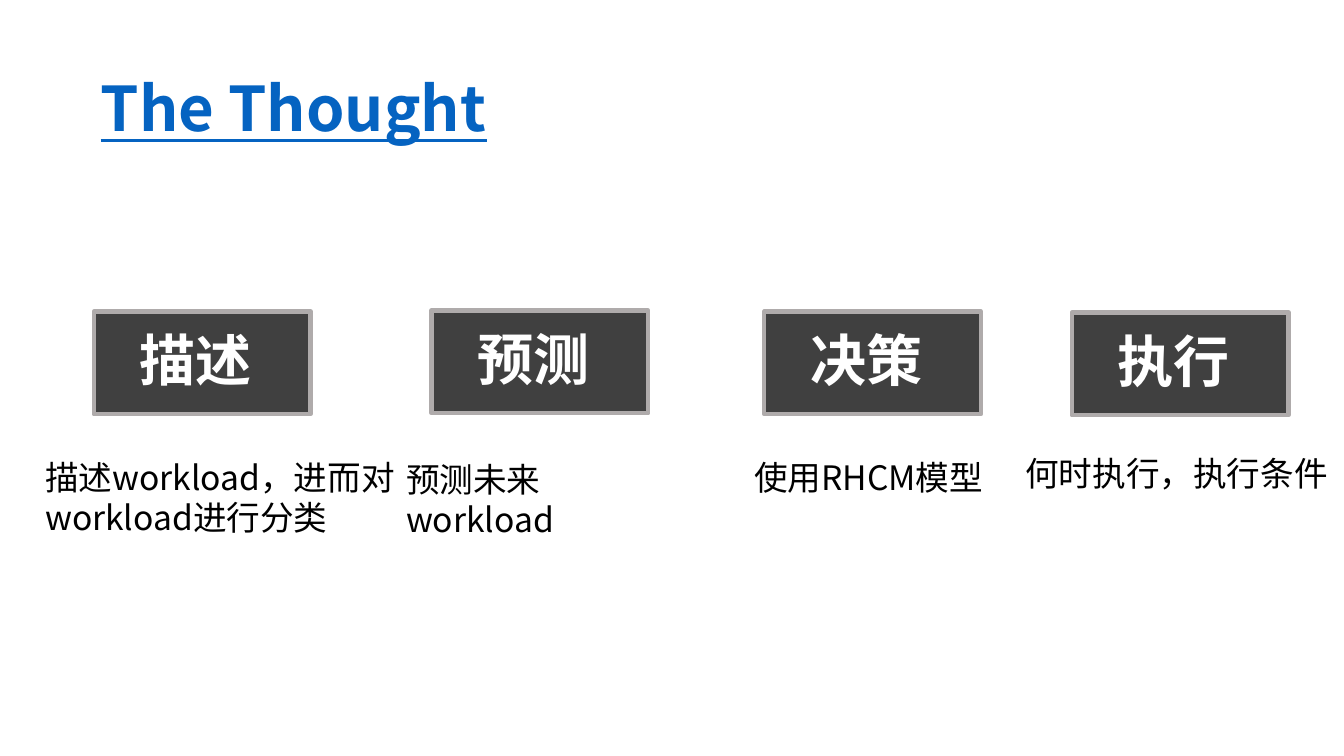
from dataclasses import dataclass

from lxml import etree
from pptx import Presentation
from pptx.dml.color import RGBColor
from pptx.enum.shapes import MSO_SHAPE
from pptx.enum.text import MSO_ANCHOR, MSO_AUTO_SIZE
from pptx.oxml.ns import qn
from pptx.util import Inches, Pt

RECT = MSO_SHAPE.RECTANGLE
TOP, MIDDLE = MSO_ANCHOR.TOP, MSO_ANCHOR.MIDDLE
FIXED, GROW = MSO_AUTO_SIZE.NONE, MSO_AUTO_SIZE.SHAPE_TO_FIT_TEXT


@dataclass(frozen=True)
class Theme:
    font: str = "Noto Sans CJK SC"
    link: str = "0563C1"
    fill: str = "404040"
    edge: str = "AFABAB"
    light: str = "FFFFFF"
    dark: str = "000000"
    title: int = 44
    label: int = 40
    body: int = 24
    border: int = 3


class Painter:
    def __init__(self, slide, theme):
        self.slide = slide
        self.theme = theme

    def box(self, left, top, width, height):
        shape = self.slide.shapes.add_shape(
            RECT, Inches(left), Inches(top), Inches(width), Inches(height))
        shape.shadow.inherit = False
        shape.fill.solid()
        shape.fill.fore_color.rgb = RGBColor.from_string(self.theme.fill)
        shape.line.color.rgb = RGBColor.from_string(self.theme.edge)
        shape.line.width = Pt(self.theme.border)

    def text(self, words, left, top, width, height, size, color,
             bold=False, under=False, anchor=TOP, fit=GROW, space=1.0):
        area = self.slide.shapes.add_textbox(
            Inches(left), Inches(top), Inches(width), Inches(height))
        frame = area.text_frame
        frame.word_wrap = True
        frame.auto_size = fit
        frame.vertical_anchor = anchor
        para = frame.paragraphs[0]
        para.line_spacing = space
        run = para.add_run()
        run.text = words
        font = run.font
        font.size = Pt(size)
        font.bold = bold
        font.underline = under
        font.color.rgb = RGBColor.from_string(color)
        font.name = self.theme.font
        # East Asian typeface
        props = run._r.get_or_add_rPr()
        etree.SubElement(props, qn("a:ea")).set("typeface", self.theme.font)


# Each step: label, box left and top, caption, caption left, top, width, height
STEPS = [
    ("描述", 0.93, 3.09, "描述workload，进而对workload进行分类", 0.35, 4.48, 3.81, 0.91),
    ("预测", 4.28, 3.08, "预测未来workload", 3.93, 4.5, 2.93, 0.5),
    ("决策", 7.58, 3.09, "使用RHCM模型", 7.38, 4.48, 2.51, 0.5),
    ("执行", 10.63, 3.1, "何时执行，执行条件", 10.07, 4.44, 3.26, 0.5),
]


def main():
    deck = Presentation()
    deck.slide_width = Inches(13.33)
    deck.slide_height = Inches(7.5)
    theme = Theme()
    page = Painter(deck.slides.add_slide(deck.slide_layouts[6]), theme)

    # Title
    page.text("The Thought", 0.9, 0.42, 11.51, 1.37, theme.title, theme.link,
              bold=True, under=True, anchor=MIDDLE, fit=FIXED, space=0.9)

    # Steps with their captions
    for label, left, top, note, *place in STEPS:
        page.box(left, top, 2.15, 1.02)
        page.text(label, left + 0.36, top + 0.09, 1.44, 0.77,
                  theme.label, theme.light, bold=True)
        page.text(note, *place, theme.body, theme.dark)

    deck.save("out.pptx")


if __name__ == "__main__":
    main()
